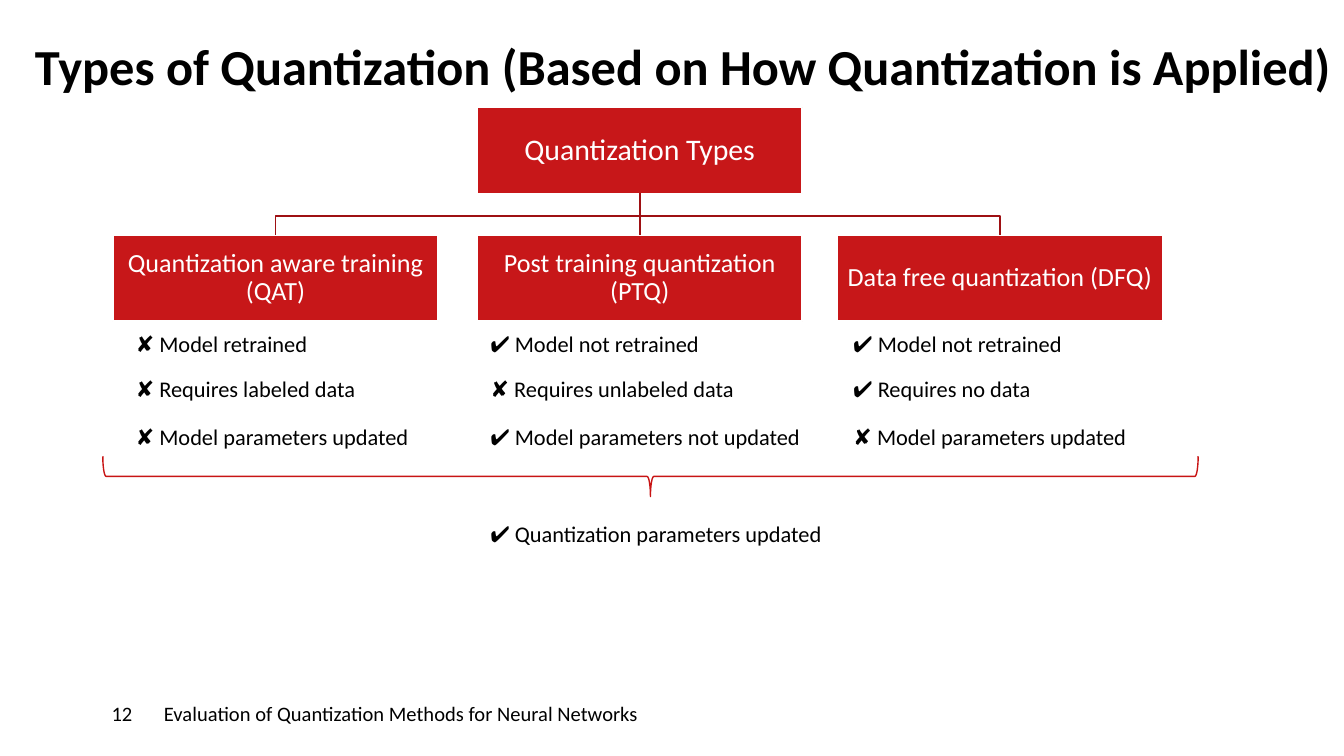
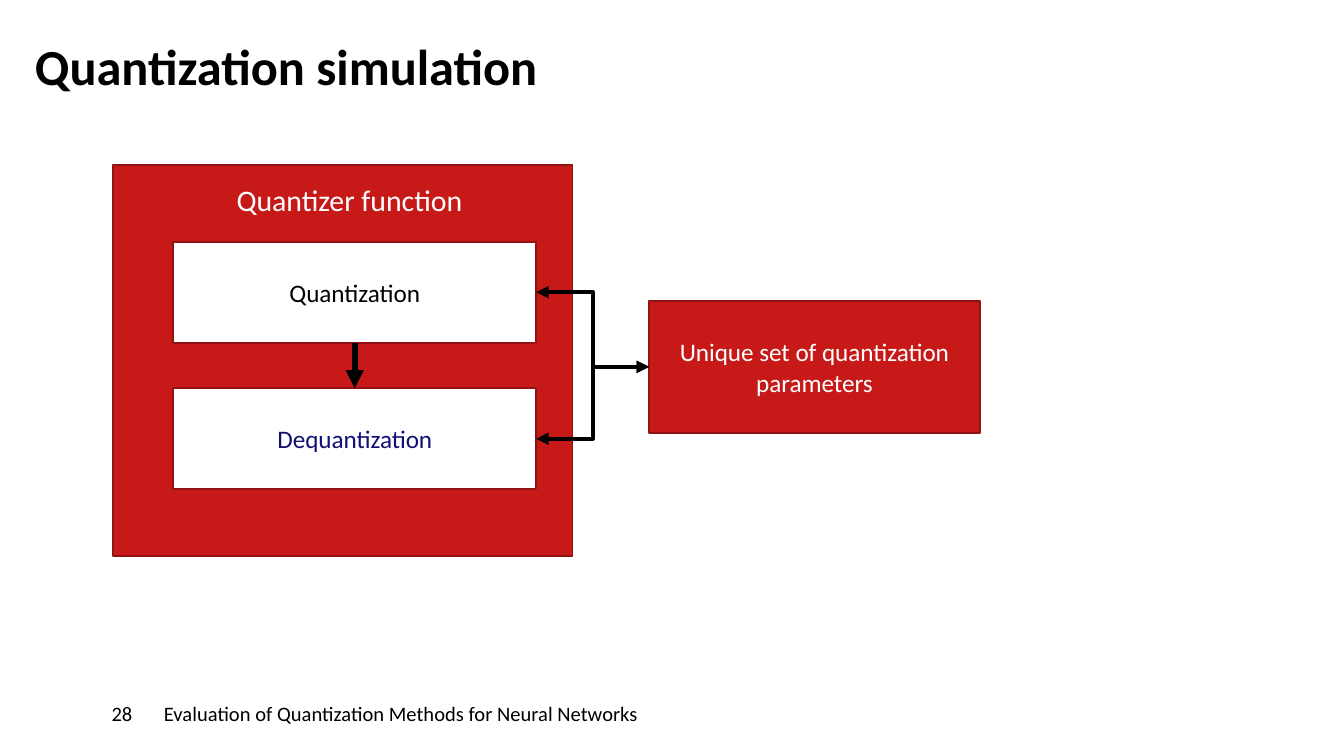
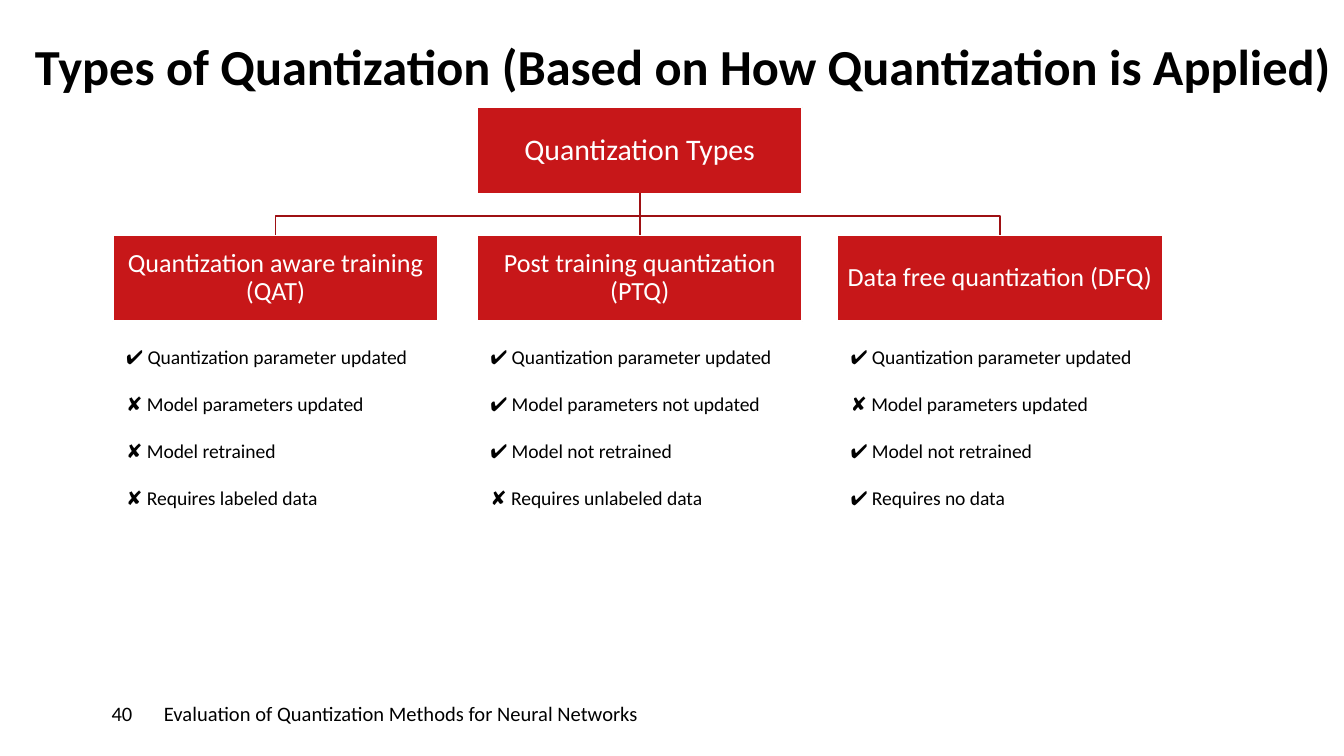
from dataclasses import dataclass

from pptx import Presentation
from pptx.dml.color import RGBColor as RGB
from pptx.enum.shapes import MSO_CONNECTOR as CXN, MSO_SHAPE as SHAPE
from pptx.enum.text import MSO_ANCHOR as ANCHOR, PP_ALIGN as ALIGN
from pptx.oxml.xmlchemy import OxmlElement
from pptx.util import Inches, Pt


@dataclass(frozen=True)
class Theme:
    """Colours, font and type sizes shared by the slides."""
    font: str = "Calibri"
    black: str = "000000"
    white: str = "FFFFFF"
    navy: str = "101073"
    node: str = "C71719"
    branch: str = "9E1013"
    panel: str = "C81919"
    edge: str = "911212"
    brace: str = "C81414"
    title: float = 27
    heading: float = 16
    leaf: float = 14
    step: float = 13.5
    body: float = 12
    footer: float = 11
    detail: float = 10.5


T = Theme()
FOOTER = "Evaluation of Quantization Methods for Neural Networks"
TYPES_TITLE = "Types of Quantization (Based on How Quantization is Applied)"
LEAVES = ["Quantization aware training (QAT)", "Post training quantization (PTQ)",
          "Data free quantization (DFQ)"]
LEAF_X = [0, 2.71, 5.39]
NODE_W, NODE_H, LEAF_DROP = 2.42, 0.64, 0.95
TREE_BOX = (0.84, 0.8)
TRAITS = [
    ["✘ Model retrained", "✔ Model not retrained", "✔ Model not retrained"],
    ["✘ Requires labeled data", "✘ Requires unlabeled data", "✔ Requires no data"],
    ["✘ Model parameters updated", "✔ Model parameters not updated",
     "✘ Model parameters updated"],
]


def apply(obj, fmt):
    """Set each attribute named in fmt on obj."""
    for name, value in fmt.items():
        setattr(obj, name, value)


def inches(*lengths):
    """Convert lengths in inches to EMU."""
    return [Inches(n) for n in lengths]


def write(sp, lines, size, color=T.black, bold=False, align=ALIGN.LEFT,
          anchor=ANCHOR.TOP, inset=(0.1, 0.05, 0.1, 0.05), spacing=None, tabs=()):
    """Fill a shape with formatted paragraphs."""
    tf = sp.text_frame
    sides = ("margin_left", "margin_top", "margin_right", "margin_bottom")
    apply(tf, {"word_wrap": True, "vertical_anchor": anchor,
               **dict(zip(sides, inches(*inset)))})
    for i, line in enumerate(lines):
        p = tf.add_paragraph() if i else tf.paragraphs[0]
        apply(p, {"alignment": align, "line_spacing": spacing})
        if tabs:
            stops = OxmlElement("a:tabLst")
            for x in tabs:
                stop = OxmlElement("a:tab")
                stop.set("pos", str(Inches(x)))
                stop.set("algn", "l")
                stops.append(stop)
            p._p.get_or_add_pPr().append(stops)
        r = p.add_run()
        r.text = line
        apply(r.font, {"name": T.font, "size": Pt(size), "bold": bold})
        r.font.color.rgb = RGB.from_string(color)


def stroke(sp, color, width):
    """Give a shape or connector a solid line."""
    sp.line.color.rgb = RGB.from_string(color)
    sp.line.width = Pt(width)


def block(s, box, fill=None, line=None, width=1, kind=SHAPE.RECTANGLE):
    """Add a flat preset shape."""
    sp = s.shapes.add_shape(kind, *inches(*box))
    sp.shadow.inherit = False
    if fill:
        sp.fill.solid()
        sp.fill.fore_color.rgb = RGB.from_string(fill)
    else:
        sp.fill.background()
    if line:
        stroke(sp, line, width)
    else:
        sp.line.fill.background()
    return sp


def label(s, box, lines, size, **fmt):
    """Add a text box."""
    write(s.shapes.add_textbox(*inches(*box)), lines, size, **fmt)


def join(s, start, end, color, width, kind=CXN.STRAIGHT, heads=()):
    """Connect two (shape, site) pairs, with arrowheads at the named ends."""
    c = s.shapes.add_connector(kind, 0, 0, 0, 0)
    c.begin_connect(*start)
    c.end_connect(*end)
    stroke(c, color, width)
    for name in heads:
        head = OxmlElement(f"a:{name}")
        head.set("type", "triangle")
        c.line._get_or_add_ln().append(head)
    c._element.spPr.append(OxmlElement("a:effectLst"))


def new_slide(prs, title, number, title_w=9.74):
    """Add a title-only slide with its title and footer."""
    s = prs.slides.add_slide(prs.slide_layouts[5])
    sp = s.shapes.title
    apply(sp, dict(zip(("left", "top", "width", "height"),
                       inches(0.26, 0.26, title_w, 0.59))))
    write(sp, [title], T.title, bold=True, inset=(0, 0, 0, 0))
    for x, w, text, indent in ((1.22, 7.7, FOOTER, 0), (0, 1.22, str(number), 0.83)):
        write(block(s, (x, 5, w, 0.62), T.white), [text], T.footer,
              anchor=ANCHOR.MIDDLE, inset=(indent, 0, 0, 0))
    return s


def node(s, left, top, text, size):
    """Add one box of the tree."""
    sp = block(s, (left, top, NODE_W, NODE_H), T.node, T.white)
    write(sp, [text], size, color=T.white, align=ALIGN.CENTER,
          anchor=ANCHOR.MIDDLE, inset=(0.01,) * 4, spacing=0.9)
    return sp


def type_tree(s, left, top):
    """Draw the root, its three leaves and the branches between them."""
    root_x = left + LEAF_X[1]
    root = node(s, root_x, top, "Quantization Types", T.heading)
    start_x, start_y = root_x + NODE_W / 2, top + NODE_H
    bend_y, leaf_y = start_y + 0.17, top + LEAF_DROP
    for dx, text in zip(LEAF_X, LEAVES):
        leaf = node(s, left + dx, leaf_y, text, T.leaf)
        if leaf.left == root.left:
            join(s, (root, 2), (leaf, 0), T.branch, 1)
            continue
        end_x = left + dx + NODE_W / 2
        fb = s.shapes.build_freeform(*inches(start_x, start_y))
        fb.add_line_segments([inches(start_x, bend_y), inches(end_x, bend_y),
                              inches(end_x, leaf_y)], close=False)
        sp = fb.convert_to_shape()
        sp.shadow.inherit = False
        sp.fill.background()
        stroke(sp, T.branch, 1)


def trait_rows(s, left, top):
    """List the traits in tabbed rows, gathered by a brace."""
    for dy, row in zip((0, 0.33, 0.69), TRAITS):
        label(s, (left, top + dy, 8.32, 0.3), ["\t".join(row)], T.body,
              tabs=(2.64, 5.34))
    brace = block(s, (left + 3.78, top - 2.94, 0.3, 8.15), line=T.brace,
                  width=0.75, kind=SHAPE.LEFT_BRACE)
    brace.rotation = 270
    label(s, (left + 2.64, top + 1.21, 5.09, 0.45),
          ["✔ Quantization parameters updated"], T.body, spacing=2)


def trait_columns(s, left, top):
    """List all traits under each leaf."""
    retrained, data, parameters = TRAITS
    for dx, *lines in zip(LEAF_X, parameters, retrained, data):
        label(s, (left + dx, top, 2.89, 1.51),
              ["✔ Quantization parameter updated", *lines], T.detail, spacing=2)


def simulation(s, left, top):
    """Draw the quantizer panel and the parameters it shares."""
    block(s, (left, top, 3.42, 2.91), T.panel, T.edge)
    label(s, (left + 0.45, top + 0.07, 2.62, 0.37), ["Quantizer function"],
          T.heading, color=T.white, align=ALIGN.CENTER)
    parts = []
    for dx, dy, w, h, fill, text, color in (
            (0.45, 0.57, 2.7, 0.75, T.white, "Quantization", T.black),
            (0.45, 1.66, 2.7, 0.75, T.white, "Dequantization", T.navy),
            (3.99, 1.01, 2.46, 0.98, T.panel,
             "Unique set of quantization parameters", T.white)):
        sp = block(s, (left + dx, top + dy, w, h), fill, T.edge)
        write(sp, [text], T.step, color=color, align=ALIGN.CENTER,
              anchor=ANCHOR.MIDDLE)
        parts.append(sp)
    quantize, dequantize, shared = parts
    join(s, (quantize, 2), (dequantize, 0), T.black, 3.25, heads=["tailEnd"])
    for step in (quantize, dequantize):
        join(s, (shared, 1), (step, 3), T.black, 2.25, CXN.ELBOW,
             ["headEnd", "tailEnd"])


def main():
    """Build and save the three slides."""
    prs = Presentation()
    prs.slide_width = Inches(10)
    prs.slide_height = prs.slide_width * 9 // 16

    s = new_slide(prs, TYPES_TITLE, 12)
    type_tree(s, *TREE_BOX)
    trait_rows(s, 0.91, 2.41)

    s = new_slide(prs, "Quantization simulation", 28, title_w=8.26)
    simulation(s, 0.84, 1.23)

    s = new_slide(prs, TYPES_TITLE, 40)
    type_tree(s, *TREE_BOX)
    trait_columns(s, 0.84, 2.34)

    prs.save("out.pptx")


if __name__ == "__main__":
    main()
